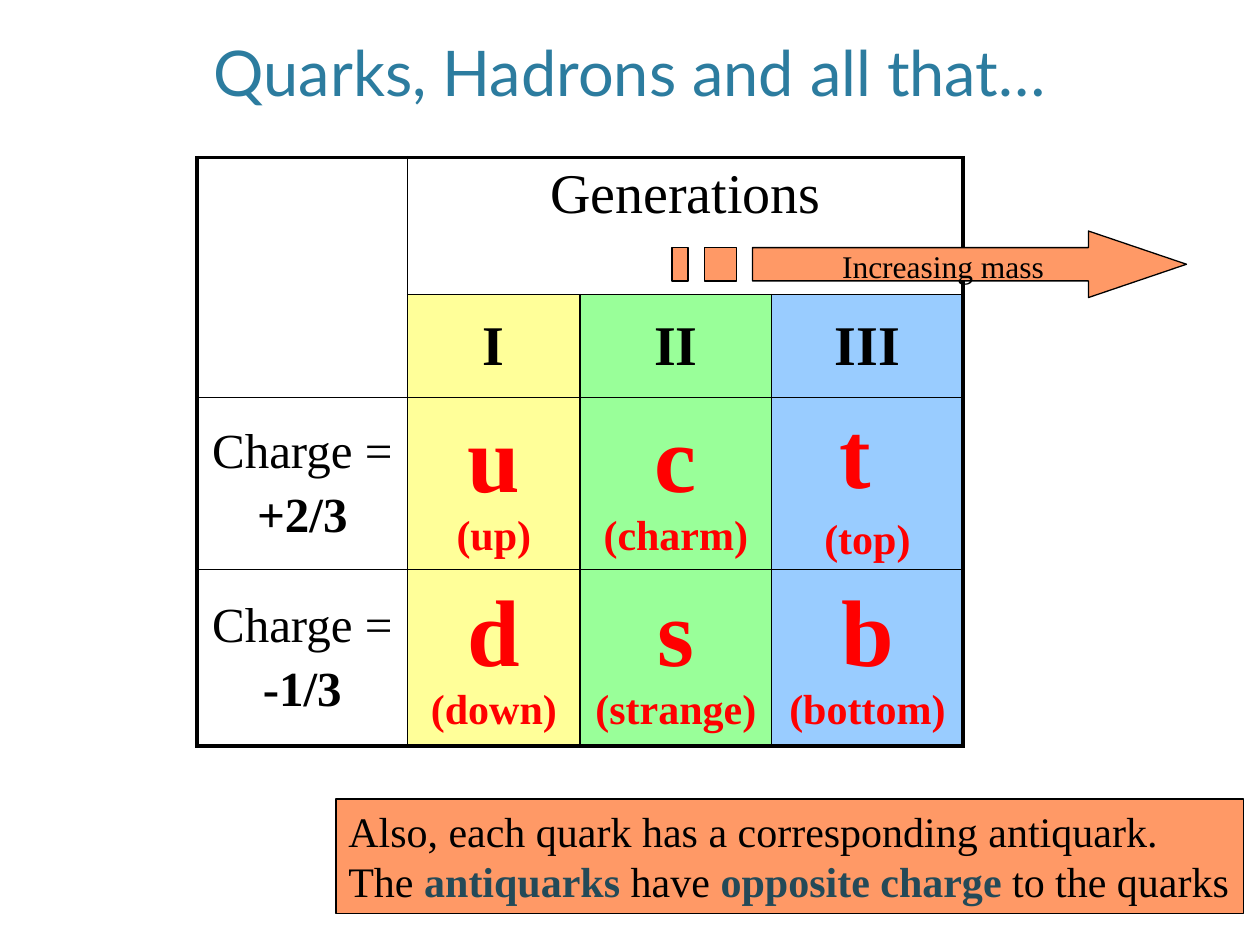
from lxml import etree
from pptx import Presentation
from pptx.dml.color import RGBColor
from pptx.enum.shapes import MSO_SHAPE
from pptx.enum.text import MSO_ANCHOR, PP_ALIGN
from pptx.oxml.ns import qn
from pptx.util import Pt

CENTER, LEFT = PP_ALIGN.CENTER, PP_ALIGN.LEFT
TOP, MIDDLE, BOTTOM = MSO_ANCHOR.TOP, MSO_ANCHOR.MIDDLE, MSO_ANCHOR.BOTTOM
RECTANGLE = MSO_SHAPE.RECTANGLE

TITLE_FONT, BODY_FONT = "Lato", "Times New Roman"
BLACK, RED, ORANGE = "000000", "FF0000", "FF9966"
TITLE_BLUE, DARK_BLUE = "2C7C9F", "244A58"
GENERATION_FILLS = ["FFFF99", "99FF99", "99CCFF"]

COLUMN_WIDTHS = [120.5, 98.5, 109.5, 109.5]
ROW_HEIGHTS = [78.3, 59, 98.3, 100.7]
CHARGES = ["+2/3", "-1/3"]
# Each quark is a list of paragraphs; each paragraph a list of (text, size).
QUARKS = [
    [[[("u\v", 54), ("(up)", 24)]],
     [[("c\v", 54), ("(charm)", 24)]],
     [[("t ", 54)], [("(top)", 24)]]],
    [[[("d\v", 54), ("(down)", 24)]],
     [[("s\v", 54), ("(strange)", 24)]],
     [[("b\v", 54), ("(bottom)", 24)]]],
]


def color(hex_string):
    return RGBColor.from_string(hex_string)


def add_text(para, text, **formats):
    """Append text to a paragraph; each \\v becomes a line break."""
    values = {"name": BODY_FONT, "size": 24, "bold": False, "color": BLACK, **formats}
    for index, piece in enumerate(text.split("\v")):
        if index:
            para.add_line_break()
        if not piece:
            continue
        span = para.add_run()
        span.text = piece
        span.font.color.rgb = color(values["color"])
        span.font.size = Pt(values["size"])
        for key in ("name", "bold"):
            setattr(span.font, key, values[key])


def set_frame(frame, **values):
    for key, value in values.items():
        setattr(frame, key, value)


def paint(shape, fill):
    shape.shadow.inherit = False
    shape.fill.solid()
    shape.fill.fore_color.rgb = color(fill)
    shape.line.color.rgb = color(BLACK)
    shape.line.width = Pt(0.75)


def fill_title(title, left, top, width, height):
    set_frame(title, left=Pt(left), top=Pt(top), width=Pt(width), height=Pt(height))
    set_frame(title.text_frame, vertical_anchor=BOTTOM, word_wrap=True)
    para = title.text_frame.paragraphs[0]
    para.alignment = CENTER
    add_text(para, "Quarks, Hadrons and all that…", name=TITLE_FONT, size=36, color=TITLE_BLUE)


def set_borders(cell, widths):
    properties = cell._tc.get_or_add_tcPr()
    for side in "LRTB":
        line = etree.SubElement(properties, qn(f"a:ln{side}"), w=str(Pt(widths[side])))
        solid = etree.SubElement(line, qn("a:solidFill"))
        etree.SubElement(solid, qn("a:srgbClr"), val=BLACK)


def fill_cell(cell, paragraphs, fill=None, anchor=MIDDLE):
    """Write paragraphs, each a list of (text, formats), and paint the cell."""
    set_frame(cell, vertical_anchor=anchor, margin_bottom=0,
              margin_top=Pt(3.6) if anchor == TOP else 0)
    if fill:
        cell.fill.solid()
        cell.fill.fore_color.rgb = color(fill)
    else:
        cell.fill.background()
    for index, spans in enumerate(paragraphs):
        para = cell.text_frame.paragraphs[0] if index == 0 else cell.text_frame.add_paragraph()
        para.alignment = CENTER
        if index:
            para.space_before = Pt(0.2 * spans[0][1]["size"])
        for text, formats in spans:
            add_text(para, text, **formats)


def add_quark_table(page, left, top):
    frame = page.shapes.add_table(
        len(ROW_HEIGHTS), len(COLUMN_WIDTHS), Pt(left), Pt(top),
        Pt(sum(COLUMN_WIDTHS)), Pt(sum(ROW_HEIGHTS)))
    table = frame.table
    table.first_row = table.horz_banding = False
    for column, width in zip(table.columns, COLUMN_WIDTHS):
        column.width = Pt(width)
    for row, height in zip(table.rows, ROW_HEIGHTS):
        row.height = Pt(height)
    table.cell(0, 0).merge(table.cell(1, 0))
    table.cell(0, 1).merge(table.cell(0, 3))

    for r in range(len(ROW_HEIGHTS)):
        for c in range(len(COLUMN_WIDTHS)):
            cell = table.cell(r, c)
            if cell.is_spanned:
                continue
            edges = {"L": c == 0, "T": r == 0,
                     "R": c + cell.span_width == len(COLUMN_WIDTHS),
                     "B": r + cell.span_height == len(ROW_HEIGHTS)}
            set_borders(cell, {side: 2.25 if outer else 1 for side, outer in edges.items()})

    fill_cell(table.cell(0, 0), [])
    fill_cell(table.cell(0, 1), [[("Generations", {"size": 32})]], anchor=TOP)
    for c, (numeral, fill) in enumerate(zip(["I", "II", "III"], GENERATION_FILLS), 1):
        fill_cell(table.cell(1, c), [[(numeral, {"size": 32, "bold": True})]], fill)
    for r, (charge, quarks) in enumerate(zip(CHARGES, QUARKS), 2):
        fill_cell(table.cell(r, 0), [[("Charge =", {"size": 28})],
                                     [(charge, {"size": 28, "bold": True})]])
        for c, (quark, fill) in enumerate(zip(quarks, GENERATION_FILLS), 1):
            paragraphs = [[(text, {"size": size, "bold": True, "color": RED})
                           for text, size in spans] for spans in quark]
            fill_cell(table.cell(r, c), paragraphs, fill)


def add_mass_arrow(page, left, top, width, height):
    """Draw a right arrow trailed by two stripes, with its label."""
    right, bottom, middle = left + width, top + height, top + height / 2
    upper, lower = top + height / 4, bottom - height / 4
    head, shaft = right - 56, left + 46
    outlines = [[(head, top), (head, upper), (shaft, upper), (shaft, lower),
                 (head, lower), (head, bottom), (right, middle)]]
    for start, end in ((left + 18.5, left + 37), (left, left + 9.2)):
        outlines.append([(start, upper), (start, lower), (end, lower), (end, upper)])
    builder = page.shapes.build_freeform(Pt(head), Pt(top))
    for index, (first, *rest) in enumerate(outlines):
        if index:
            builder.move_to(Pt(first[0]), Pt(first[1]))
        builder.add_line_segments([(Pt(x), Pt(y)) for x, y in rest], close=True)
    arrow = builder.convert_to_shape()
    paint(arrow, ORANGE)
    set_frame(arrow.text_frame, word_wrap=False, vertical_anchor=MIDDLE,
              margin_left=Pt(23), margin_top=Pt(5))
    para = arrow.text_frame.paragraphs[0]
    para.alignment = CENTER
    add_text(para, "Increasing mass", size=18)


def add_antiquark_note(page, left, top, width, height):
    note = page.shapes.add_shape(RECTANGLE, Pt(left), Pt(top), Pt(width), Pt(height))
    paint(note, ORANGE)
    set_frame(note.text_frame, word_wrap=False, vertical_anchor=TOP)
    para = note.text_frame.paragraphs[0]
    para.alignment = LEFT
    strong = {"color": DARK_BLUE, "bold": True}
    for text, formats in [
        ("Also, each quark has a corresponding antiquark.\vThe ", {}),
        ("antiquarks", strong), (" have ", {}),
        ("opposite charge", strong), (" to the quarks", {}),
    ]:
        add_text(para, text, **formats)


def main():
    deck = Presentation()
    deck.slide_width, deck.slide_height = Pt(720), Pt(540)
    page = deck.slides.add_slide(deck.slide_layouts[5])
    fill_title(page.shapes.title, 54, 12, 612, 54)
    add_quark_table(page, 112.5, 90)
    add_antiquark_note(page, 192, 456.5, 518.5, 65.5)
    add_mass_arrow(page, 384, 132, 294, 38)
    deck.save("out.pptx")


if __name__ == "__main__":
    main()
